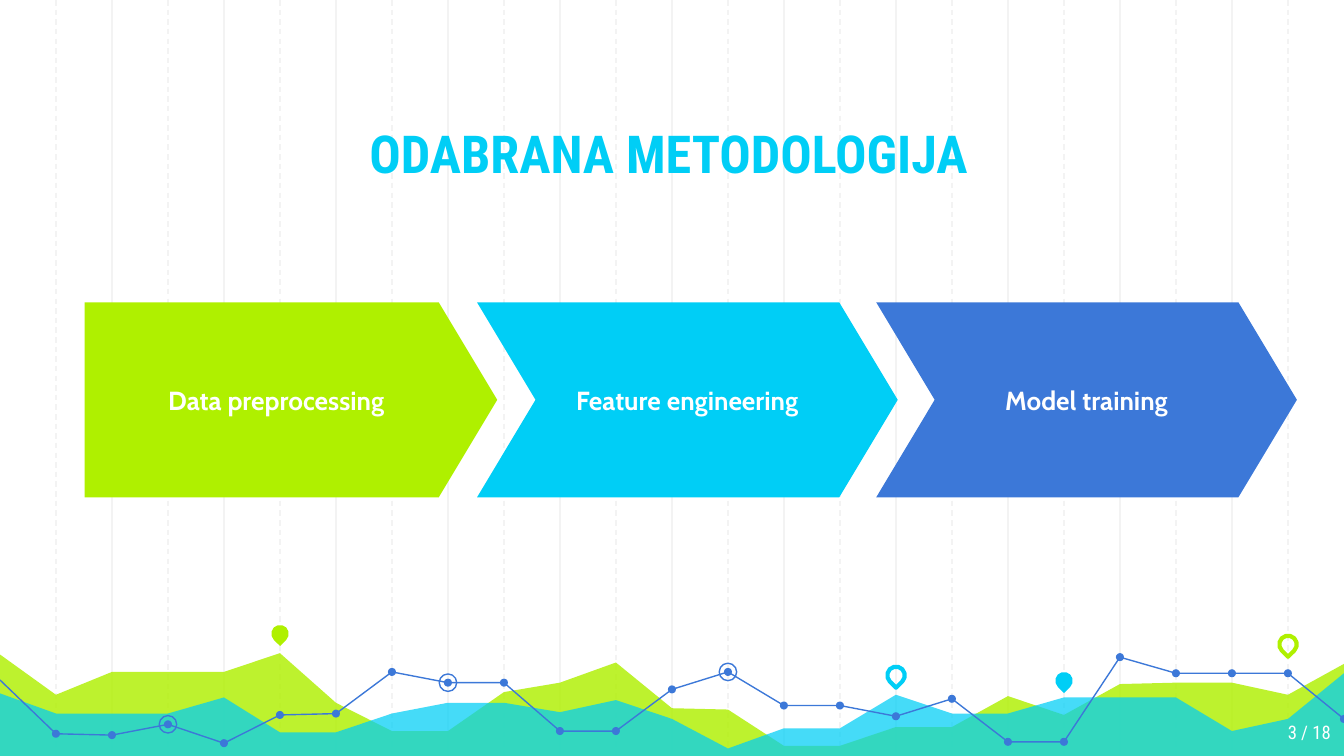
from pptx import Presentation
from pptx.dml.color import RGBColor
from pptx.enum.dml import MSO_LINE
from pptx.enum.shapes import MSO_CONNECTOR, MSO_SHAPE
from pptx.enum.text import MSO_ANCHOR, PP_ALIGN
from pptx.oxml.ns import qn
from pptx.util import Inches, Pt
from lxml.etree import SubElement

LIME = RGBColor(0xAF, 0xF0, 0x00)
CYAN = RGBColor(0x00, 0xCE, 0xF6)
BLUE = RGBColor(0x3C, 0x78, 0xD8)
GREY = RGBColor(0xF3, 0xF3, 0xF3)
WHITE = RGBColor(0xFF, 0xFF, 0xFF)

presentation = Presentation()
presentation.slide_width = Inches(10)
presentation.slide_height = Inches(5.625)
slide = presentation.slides.add_slide(presentation.slide_layouts[6])
shapes = slide.shapes
bottom = presentation.slide_height
COLUMNS = 24
column = presentation.slide_width / COLUMNS


def paint(shape, fill=None, line=None, width=0.75):
    shape.shadow.inherit = False
    if fill is None:
        shape.fill.background()
    else:
        shape.fill.solid()
        shape.fill.fore_color.rgb = fill
    if line is None:
        shape.line.fill.background()
    else:
        shape.line.color.rgb = line
        shape.line.width = Pt(width)


def write(shape, text, font, size, color, bold, align, anchor):
    frame = shape.text_frame
    frame.word_wrap = True
    frame.vertical_anchor = anchor
    frame.margin_left = frame.margin_right = Inches(0.1)
    frame.margin_top = frame.margin_bottom = Inches(0.1)
    paragraph = frame.paragraphs[0]
    paragraph.alignment = align
    run = paragraph.add_run()
    run.text = text
    run.font.name = font
    run.font.size = Pt(size)
    run.font.bold = bold
    run.font.color.rgb = color


# Grid lines: solid on even columns, dashed on odd ones
for index in [*range(2, COLUMNS, 2), *range(1, COLUMNS, 2)]:
    x = round(index * column)
    grid_line = shapes.add_connector(MSO_CONNECTOR.STRAIGHT, x, 0, x, bottom)
    grid_line.line.color.rgb = GREY
    grid_line.line.width = Pt(0.75)
    if index % 2:
        grid_line.line.dash_style = MSO_LINE.DASH
    SubElement(grid_line._element.spPr, qn("a:effectLst"))

# Translucent areas and the line: one height per grid column
lime_heights = [4.87, 5.17, 5, 5, 5, 4.86, 5.23, 5.44, 5.44, 5.15, 5.08, 4.93, 5.27,
                5.28, 5.55, 5.55, 5.41, 5.41, 5.18, 5.32, 5.09, 5.08, 5.08, 5.17, 4.94]
cyan_heights = [5.16, 5.31, 5.31, 5.31, 5.19, 5.45, 5.45, 5.31, 5.23, 5.23, 5.3, 5.21, 5.35,
                5.57, 5.42, 5.42, 5.17, 5.31, 5.31, 5.19, 5.19, 5.19, 5.44, 5.35, 5.01]
line_heights = [5.06, 5.46, 5.47, 5.39, 5.53, 5.32, 5.31, 5, 5.08, 5.08, 5.44, 5.44, 5.13,
                5, 5.25, 5.25, 5.33, 5.2, 5.52, 5.52, 4.89, 5.01, 5.01, 5.01, 5.35]

for heights, color, opacity in [(lime_heights, LIME, 82), (cyan_heights, CYAN, 73),
                                (line_heights, BLUE, None)]:
    points = [(round(i * column), Inches(y)) for i, y in enumerate(heights)]
    builder = shapes.build_freeform(*points[0], scale=1.0)
    if opacity is None:
        builder.add_line_segments(points[1:], close=False)
        paint(builder.convert_to_shape(), line=color)
    else:
        corners = [(presentation.slide_width, bottom), (0, bottom)]
        builder.add_line_segments(points[1:] + corners, close=True)
        area = builder.convert_to_shape()
        paint(area, fill=color)
        fill_color = area._element.spPr.find(qn("a:solidFill"))[0]
        SubElement(fill_color, qn("a:alpha")).set("val", str(opacity * 1000))

# Dots on the line, with rings around three of them
RINGED = (3, 8, 13)
marks = [(i, 0.06, BLUE, None) for i in range(1, COLUMNS + 1)]
marks += [(i, 0.13, None, BLUE) for i in RINGED]
for index, size, fill, line in marks:
    left = round(index * column - Inches(size) / 2)
    top = Inches(line_heights[index] - size / 2)
    mark = shapes.add_shape(MSO_SHAPE.OVAL, left, top, Inches(size), Inches(size))
    paint(mark, fill, line)

# Map pins
PIN = Inches(0.13)
for index, top, fill, line in [(5, 4.65, LIME, None), (16, 4.96, None, CYAN),
                               (19, 5, CYAN, None), (23, 4.73, None, LIME)]:
    left = round(index * column - PIN / 2)
    pin = shapes.add_shape(MSO_SHAPE.TEAR, left, Inches(top), PIN, PIN)
    pin.rotation = 135
    paint(pin, fill, line, 2.25)

# Title
title = shapes.add_textbox(Inches(1.15), Inches(0.69), Inches(7.65), Inches(0.78))
write(title, "ODABRANA METODOLOGIJA", "Roboto Condensed", 28, CYAN, True,
      PP_ALIGN.CENTER, MSO_ANCHOR.BOTTOM)

# Process steps
for kind, left, width, color, label in [
        (MSO_SHAPE.PENTAGON, 0.63, 3.07, LIME, "Data preprocessing"),
        (MSO_SHAPE.CHEVRON, 3.55, 3.13, CYAN, "Feature engineering"),
        (MSO_SHAPE.CHEVRON, 6.52, 3.13, BLUE, "Model training")]:
    step = shapes.add_shape(kind, Inches(left), Inches(2.25), Inches(width), Inches(1.45))
    step.adjustments[0] = 0.3
    paint(step, color)
    write(step, label, "Cabin", 14, WHITE, True, PP_ALIGN.CENTER, MSO_ANCHOR.MIDDLE)

# Page number
page = shapes.add_textbox(Inches(9.4), Inches(5.28), Inches(0.6), Inches(0.35))
write(page, "3 / 18", "Roboto Condensed", 10, WHITE, False, PP_ALIGN.RIGHT, MSO_ANCHOR.TOP)

presentation.save("out.pptx")
